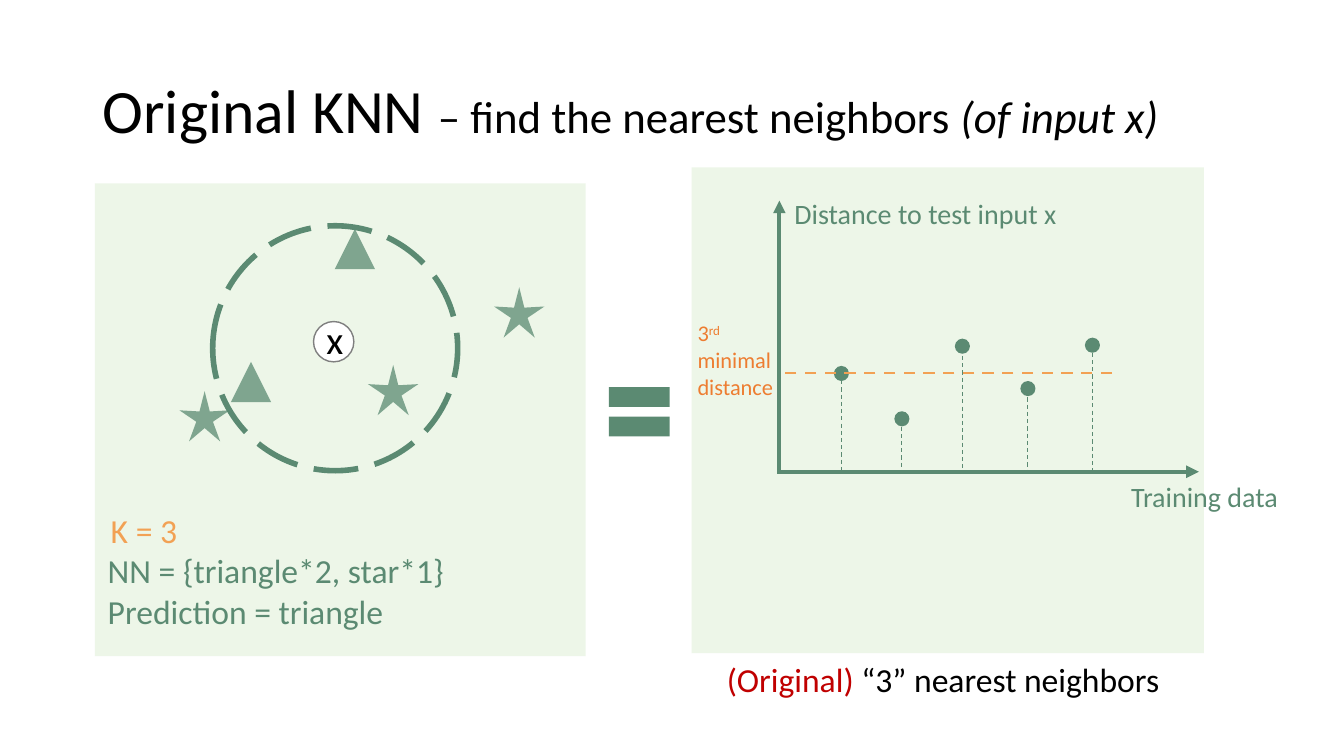
import pptx
import pptx.util
import pptx.dml.color
import pptx.enum.dml
import pptx.enum.shapes
import pptx.enum.text
import pptx.oxml
import pptx.oxml.ns
from lxml import etree

Inches = pptx.util.Inches
Shape = pptx.enum.shapes.MSO_SHAPE
Dash = pptx.enum.dml.MSO_LINE
Anchor = pptx.enum.text.MSO_ANCHOR
qn = pptx.oxml.ns.qn

COLORS = {
    "green": "5B8A72",
    "panel": "E2F0D9",
    "orange": "F2A154",
    "deep orange": "ED7D31",
    "red": "C00000",
    "black": "000000",
    "white": "FFFFFF",
    "gray": "7F7F7F",
}

deck = pptx.Presentation()
deck.slide_width = Inches(13.33)
deck.slide_height = Inches(7.5)
slide = deck.slides.add_slide(deck.slide_layouts[6])


def rgb(name):
    return pptx.dml.color.RGBColor.from_string(COLORS[name])


def add_text(paragraphs, left, top, width, height, size=24, color="green",
             anchor=Anchor.TOP, line_spacing=None):
    """Each paragraph is a list of (text, format changes) pairs."""
    box = slide.shapes.add_textbox(Inches(left), Inches(top), Inches(width), Inches(height))
    frame = box.text_frame
    frame.word_wrap = True
    frame.vertical_anchor = anchor
    for index, pieces in enumerate(paragraphs):
        para = frame.add_paragraph() if index else frame.paragraphs[0]
        para.line_spacing = line_spacing
        for text, changes in pieces:
            span = para.add_run()
            span.text = text
            span.font.name = "Calibri"
            span.font.size = pptx.util.Pt(changes.get("size", size))
            span.font.color.rgb = rgb(changes.get("color", color))
            if changes.get("italic"):
                span.font.italic = True
            if changes.get("superscript"):
                span._r.get_or_add_rPr().set("baseline", "30000")


def add_mark(kind, left, top, width, height, fill="green", opacity=100,
             outline=None, weight=1, dash=None):
    """Shape or, when kind is None, a line from (left, top) to (width, height)."""
    if kind is None:
        mark = slide.shapes.add_connector(
            pptx.enum.shapes.MSO_CONNECTOR.STRAIGHT,
            Inches(left), Inches(top), Inches(width), Inches(height))
        etree.SubElement(mark._element.spPr, qn("a:effectLst"))
    else:
        mark = slide.shapes.add_shape(
            kind, Inches(left), Inches(top), Inches(width), Inches(height))
        mark.shadow.inherit = False
        if fill:
            mark.fill.solid()
            mark.fill.fore_color.rgb = rgb(fill)
            if opacity < 100:
                color = mark._element.spPr.find(qn("a:solidFill"))[0]
                etree.SubElement(color, qn("a:alpha")).set("val", str(opacity * 1000))
        else:
            mark.fill.background()
    if outline:
        mark.line.color.rgb = rgb(outline)
        mark.line.width = pptx.util.Pt(weight)
        if dash:
            mark.line.dash_style = dash
    else:
        mark.line.fill.background()
    return mark


# Title
add_text([[("Original KNN ", {"size": 44}),
           ("– find the nearest neighbors ", {}),
           ("(of input x)", {"italic": True})]],
         0.92, 0.4, 11.85, 1.45, size=32, color="black",
         anchor=Anchor.MIDDLE, line_spacing=0.9)

# Right panel: axes with arrowheads and labels
add_mark(Shape.RECTANGLE, 6.86, 1.66, 5.08, 4.82, fill="panel", opacity=60)
for start_x, start_y, end_x, end_y in [(7.73, 4.7, 7.73, 1.99), (7.73, 4.68, 11.89, 4.68)]:
    axis = add_mark(None, start_x, start_y, end_x, end_y, outline="green", weight=3)
    etree.SubElement(axis.line._get_or_add_ln(), qn("a:tailEnd")).set("type", "triangle")
add_text([[("Distance to test input x", {})]], 7.78, 1.9, 2.89, 0.44, size=20)
add_text([[("Training data", {})]], 11.12, 4.71, 1.82, 0.44, size=20)

# Distances of the training data: dot left, dot top, stem top
DOT = 0.15
for left, top, stem_top in [(8.27, 3.63, 3.7), (8.87, 4.08, 4.16), (9.47, 3.36, 3.46),
                            (10.12, 3.78, 3.8), (10.76, 3.35, 3.5)]:
    add_mark(Shape.OVAL, left, top, DOT, DOT)
    center = left + DOT / 2
    add_mark(None, center, stem_top, center, 4.69,
             outline="green", weight=0.75, dash=Dash.DASH)

# Threshold of the third neighbor
add_mark(None, 11.03, 3.7, 7.73, 3.7, outline="orange", weight=2, dash=Dash.DASH)
add_text([[("3", {}), ("rd", {"superscript": True}), (" minimal", {})],
          [("distance", {})]],
         6.82, 3.12, 1.03, 0.91, size=16, color="deep orange")

# Equal sign and caption
add_mark(Shape.MATH_EQUAL, 5.93, 3.67, 0.82, 0.83)
add_text([[("(Original) ", {"color": "red"}), ("“3” nearest neighbors", {})]],
         7.11, 6.49, 4.89, 0.5, color="black")

# Left panel with the result
add_mark(Shape.RECTANGLE, 0.94, 1.82, 4.87, 4.69, fill="panel", opacity=60)
add_text([[("NN = {triangle*2, star*1}", {})], [("Prediction = triangle", {})]],
         0.97, 5.41, 4.89, 0.91)
add_text([[("K = 3", {})]], 1, 5.01, 1.27, 0.5, color="orange")

# Neighborhood of the test input
add_mark(Shape.OVAL, 2.11, 2.24, 2.43, 2.43, fill=None,
         outline="green", weight=4, dash=Dash.LONG_DASH)
add_mark(Shape.OVAL, 3.11, 3.19, 0.4, 0.4, fill="white", outline="gray")
add_text([[("x", {})]], 3.14, 3.08, 0.37, 0.57, size=28, color="black")

# Training samples of both classes
for left, top in [(4.9, 2.85), (3.65, 3.62), (1.78, 3.88)]:
    star = add_mark(Shape.STAR_5_POINT, left, top, 0.5, 0.5, opacity=75)
    star.adjustments[0] = 0.165
for left, top in [(3.32, 2.27), (2.29, 3.59)]:
    add_mark(Shape.ISOSCELES_TRIANGLE, left, top, 0.4, 0.4, opacity=75)

deck.save("out.pptx")
